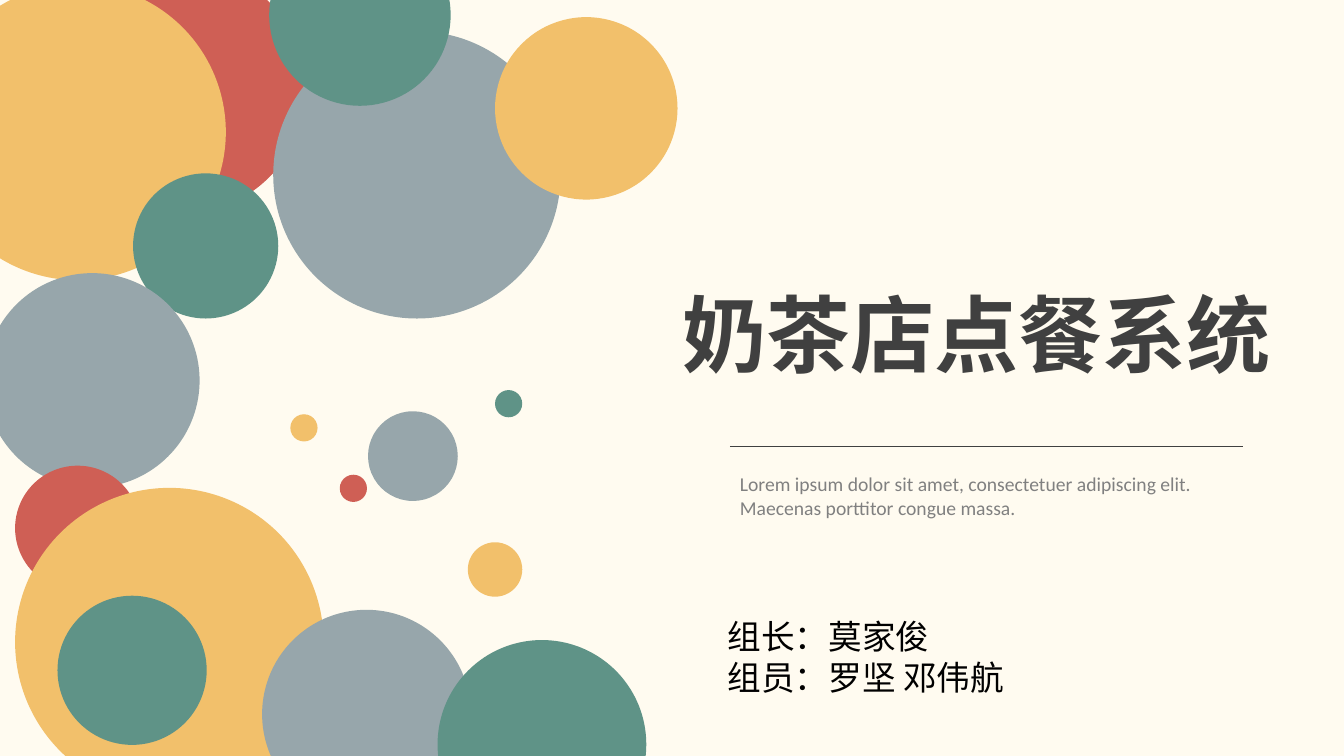
from lxml import etree
from pptx import Presentation
from pptx.dml.color import RGBColor
from pptx.enum.shapes import MSO_CONNECTOR, MSO_SHAPE
from pptx.oxml.ns import qn
from pptx.util import Inches, Pt

OVAL = MSO_SHAPE.OVAL
STRAIGHT = MSO_CONNECTOR.STRAIGHT

# Content
CREAM, INK = "FFFBF0", "404040"
RED, YELLOW, GREEN, GREY = "CF5F55", "F2C06B", "5F9387", "97A6AB"

# Bubbles from back to front: left, top, diameter, colour
BUBBLES = [
    (0.57, -0.34, 2.46, RED),
    (-0.7, -0.16, 2.94, YELLOW),
    (1.32, 1.72, 1.44, GREEN),
    (-0.15, 2.71, 2.13, GREY),
    (2.71, 0.31, 2.85, GREY),
    (2.67, -0.75, 1.8, GREEN),
    (0.15, 4.62, 1.24, RED),
    (0.15, 4.84, 3.06, YELLOW),
    (0.57, 5.91, 1.48, GREEN),
    (2.6, 6.05, 2.07, GREY),
    (4.34, 6.35, 2.07, GREEN),
    (3.65, 4.08, 0.89, GREY),
    (3.37, 4.71, 0.27, RED),
    (2.88, 4.11, 0.27, YELLOW),
    (4.91, 3.87, 0.27, GREEN),
    (4.64, 5.38, 0.54, YELLOW),
    (4.91, 0.17, 1.81, YELLOW),
]

RULE = {"left": 7.24, "right": 12.33, "top": 4.43, "width": 0.5}

# Texts: place, lines, colour, font format
TEXTS = [
    ((6.67, 2.74, 6.54, 1.11), ["奶茶店点餐系统"], INK,
     {"name": "Noto Sans CJK JP", "size": Pt(60), "bold": True}),
    ((7.24, 4.63, 4.72, 0.57),
     ["Lorem ipsum dolor sit amet, consectetuer adipiscing elit. "
      "Maecenas porttitor congue massa."], "808080",
     {"name": "Calibri", "size": Pt(14)}),
    ((7.12, 6.05, 5.77, 0.91), ["组长：莫家俊", "组员：罗坚 邓伟航"], "000000",
     {"name": "Noto Sans CJK SC", "size": Pt(24)}),
]
LINE_HEIGHT = 1.22  # line pitch as a multiple of the font size


def colour(hex_code):
    return RGBColor.from_string(hex_code)


def add_bubble(page, left, top, diameter, fill):
    bubble = page.shapes.add_shape(
        OVAL, *map(Inches, (left, top, diameter, diameter)))
    bubble.shadow.inherit = False
    bubble.fill.solid()
    bubble.fill.fore_color.rgb = colour(fill)
    bubble.line.fill.background()


def add_rule(page, left, right, top, width):
    rule = page.shapes.add_connector(
        STRAIGHT, *map(Inches, (left, top, right, top)))
    rule.line.color.rgb = colour(INK)
    rule.line.width = Pt(width)
    etree.SubElement(rule._element.spPr, qn("a:effectLst"))


def add_text(page, place, lines, ink, font_format):
    box = page.shapes.add_textbox(*map(Inches, place))
    frame = box.text_frame
    frame.word_wrap = True
    for index, line in enumerate(lines):
        para = frame.add_paragraph() if index else frame.paragraphs[0]
        para.line_spacing = Pt(round(font_format["size"].pt * LINE_HEIGHT, 1))
        span = para.add_run()
        span.text = line
        for name, value in font_format.items():
            setattr(span.font, name, value)
        span.font.color.rgb = colour(ink)
        # East Asian characters take their font from a:ea
        east_asian = etree.SubElement(span.font._element, qn("a:ea"))
        east_asian.set("typeface", font_format["name"])


def main():
    deck = Presentation()
    deck.slide_width, deck.slide_height = Inches(13.33), Inches(7.5)
    page = deck.slides.add_slide(deck.slide_layouts[6])
    page.background.fill.solid()
    page.background.fill.fore_color.rgb = colour(CREAM)

    for bubble in BUBBLES:
        add_bubble(page, *bubble)
    add_rule(page, **RULE)
    for text in TEXTS:
        add_text(page, *text)

    deck.save("out.pptx")


if __name__ == "__main__":
    main()
